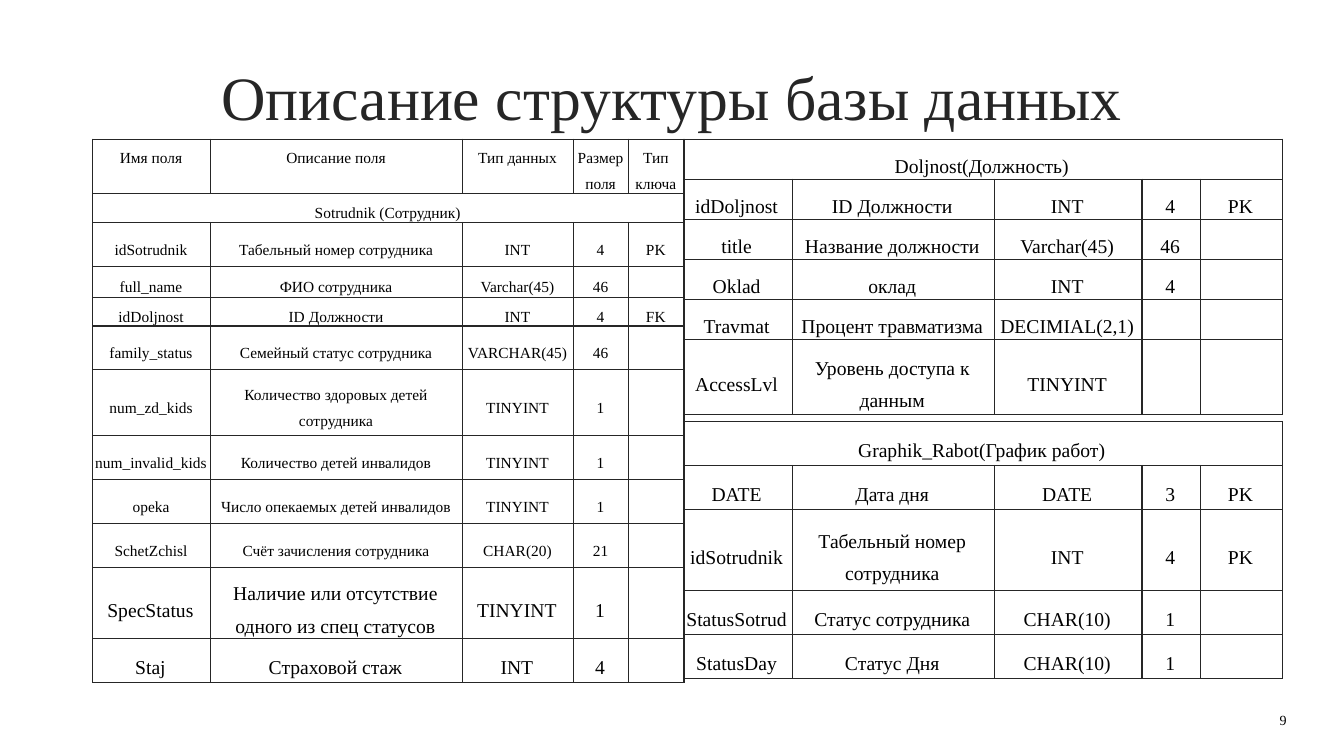
"""Builds the slide describing the database structure with three field tables."""
from lxml import etree
from pptx import Presentation
from pptx.dml.color import RGBColor
from pptx.enum.text import MSO_ANCHOR, PP_ALIGN
from pptx.oxml.ns import qn
from pptx.util import Pt

TOP, MIDDLE = MSO_ANCHOR.TOP, MSO_ANCHOR.MIDDLE
CENTER, RIGHT = PP_ALIGN.CENTER, PP_ALIGN.RIGHT

TITLE = "Описание структуры базы данных"
PAGE_NUMBER = "9"

HEADER = ("Имя поля", "Описание поля", "Тип данных", "Размер поля", "Тип ключа")
EMPLOYEE = [
    HEADER,
    ("Sotrudnik (Сотрудник)",),
    ("idSotrudnik", "Табельный номер сотрудника", "INT", "4", "PK"),
    ("full_name", "ФИО сотрудника", "Varchar(45)", "46", ""),
    ("idDoljnost", "ID Должности", "INT", "4", "FK"),
    ("family_status", "Семейный статус сотрудника", "VARCHAR(45)", "46", ""),
    ("num_zd_kids", "Количество здоровых детей сотрудника", "TINYINT", "1", ""),
    ("num_invalid_kids", "Количество детей инвалидов", "TINYINT", "1", ""),
    ("opeka", "Число опекаемых детей инвалидов", "TINYINT", "1", ""),
    ("SchetZchisl", "Счёт зачисления сотрудника", "CHAR(20)", "21", ""),
    ("SpecStatus", "Наличие или отсутствие одного из спец статусов", "TINYINT", "1", ""),
    ("Staj", "Страховой стаж", "INT", "4", ""),
]
POSITION = [
    ("Doljnost(Должность)",),
    ("idDoljnost", "ID Должности", "INT", "4", "PK"),
    ("title", "Название должности", "Varchar(45)", "46", ""),
    ("Oklad", "оклад", "INT", "4", ""),
    ("Travmat", "Процент травматизма", "DECIMIAL(2,1)", "", ""),
    ("AccessLvl", "Уровень доступа к данным", "TINYINT", "", ""),
]
SCHEDULE = [
    ("Graphik_Rabot(График работ)",),
    ("DATE", "Дата дня", "DATE", "3", "PK"),
    ("idSotrudnik", "Табельный номер сотрудника", "INT", "4", "PK"),
    ("StatusSotrud", "Статус сотрудника", "CHAR(10)", "1", ""),
    ("StatusDay", "Статус Дня", "CHAR(10)", "1", ""),
]

THEME = {
    "font": "Times New Roman",
    "ink": "000000",
    "line": "262626",
    "line_width": 1,
    "title": 44,
    "page": 10,
    "small": 11,
    "large": 14,
    "small_insets": (0.85, 1.7, 1.7, 0),
    "large_insets": (1.7, 3.4, 3.4, 0),
}

SLIDE_WIDTH, SLIDE_HEIGHT = 960, 540
TABLES_TOP = 99.5
EMPLOYEE_LEFT = 66.2
EMPLOYEE_COLUMNS = (84.3, 180, 79.2, 39.5, 39.5)
EMPLOYEE_HEIGHTS = (39, 20.5, 31.4, 20.5, 20.5, 31.4, 47, 31.4, 31.4, 31.4, 50.5, 31.4)
RIGHT_LEFT = EMPLOYEE_LEFT + sum(EMPLOYEE_COLUMNS) - 0.5
RIGHT_COLUMNS = (77.6, 144.8, 105.1, 42.1, 58.3)
POSITION_HEIGHTS = (27.5,) * 5 + (50.5,)
SCHEDULE_TOP = 301
SCHEDULE_HEIGHTS = (31.4, 31.4, 58, 31.4, 31.4)
EMPLOYEE_LARGE_FROM = 10


def add_text(paragraph, text, size, color, align):
    paragraph.alignment = align
    run = paragraph.add_run()
    run.text = text
    run.font.size = Pt(size)
    run.font.name = THEME["font"]
    run.font.color.rgb = RGBColor.from_string(color)


def add_label(slide, text, box, size, color, align):
    frame = slide.shapes.add_textbox(*map(Pt, box)).text_frame
    frame.word_wrap = True
    frame.vertical_anchor = MIDDLE
    add_text(frame.paragraphs[0], text, size, color, align)


def outline(cell):
    properties = cell._tc.get_or_add_tcPr()
    for side in ("lnL", "lnR", "lnT", "lnB"):
        edge = etree.SubElement(properties, qn(f"a:{side}"), w=str(Pt(THEME["line_width"])))
        fill = etree.SubElement(edge, qn("a:solidFill"))
        etree.SubElement(fill, qn("a:srgbClr"), val=THEME["line"])
    cell.fill.background()


def fill_cell(cell, text, scale, anchor):
    insets = THEME[f"{scale}_insets"] if text else (0, 0, 0, 0)
    cell.margin_left, cell.margin_top, cell.margin_right, cell.margin_bottom = map(Pt, insets)
    cell.vertical_anchor = anchor
    outline(cell)
    if text:
        paragraph = cell.text_frame.paragraphs[0]
        paragraph.line_spacing = 1.5
        add_text(paragraph, text, THEME[scale], THEME["ink"], CENTER)


def add_fields(slide, fields, left, top, columns, heights, large_from=0):
    box = map(Pt, (left, top, sum(columns), sum(heights)))
    table = slide.shapes.add_table(len(fields), len(columns), *box).table
    table.first_row = table.horz_banding = False
    for column, width in zip(table.columns, columns):
        column.width = Pt(width)
    for index, (row, height, values) in enumerate(zip(table.rows, heights, fields)):
        row.height = Pt(height)
        scale = "large" if index >= large_from else "small"
        anchor = TOP if values is HEADER else MIDDLE
        if len(values) == 1:
            table.cell(index, 0).merge(table.cell(index, len(columns) - 1))
        padded = values + ("",) * (len(columns) - len(values))
        for cell, text in zip(row.cells, padded):
            fill_cell(cell, text, scale, anchor)


def main():
    deck = Presentation()
    deck.slide_width, deck.slide_height = Pt(SLIDE_WIDTH), Pt(SLIDE_HEIGHT)
    slide = deck.slides.add_slide(deck.slide_layouts[6])
    add_fields(slide, EMPLOYEE, EMPLOYEE_LEFT, TABLES_TOP, EMPLOYEE_COLUMNS,
               EMPLOYEE_HEIGHTS, EMPLOYEE_LARGE_FROM)
    add_label(slide, TITLE, (0, 37.5, SLIDE_WIDTH, 62.5), THEME["title"], THEME["line"], CENTER)
    add_fields(slide, POSITION, RIGHT_LEFT, TABLES_TOP, RIGHT_COLUMNS, POSITION_HEIGHTS)
    add_fields(slide, SCHEDULE, RIGHT_LEFT, SCHEDULE_TOP, RIGHT_COLUMNS, SCHEDULE_HEIGHTS)
    add_label(slide, PAGE_NUMBER, (883.5, 503.3, 42.5, 22.3), THEME["page"], THEME["ink"], RIGHT)
    deck.save("out.pptx")


if __name__ == "__main__":
    main()
